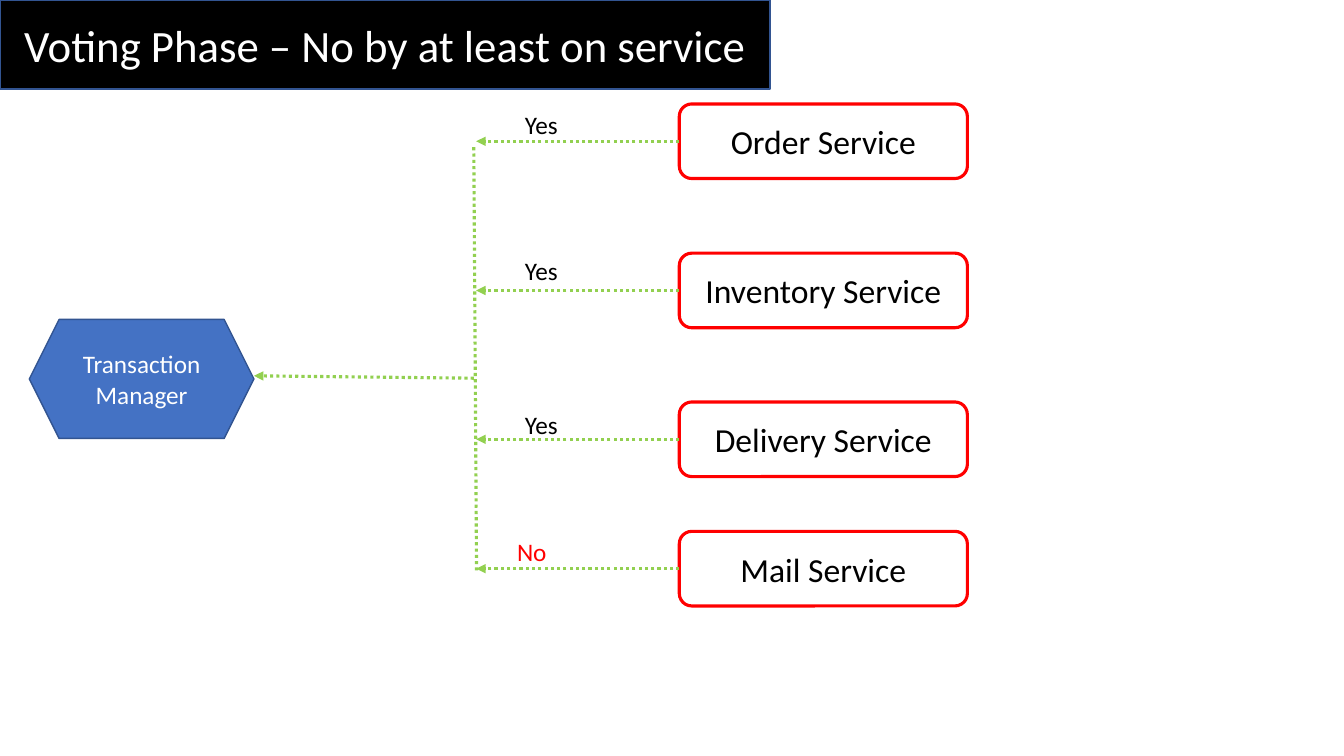
from dataclasses import dataclass

from lxml import etree
from pptx import Presentation
from pptx.dml.color import RGBColor
from pptx.enum import dml, shapes, text
from pptx.oxml.ns import qn
from pptx.util import Cm, Pt

COLORS = {
    "black": "000000",
    "white": "FFFFFF",
    "red": "FF0000",
    "green": "92D050",
    "blue": "4472C4",
    "navy": "325491",
}
FONT = "Calibri"
SERVICE_LEFT, SERVICE_WIDTH, SERVICE_HEIGHT = 17.12, 7.26, 1.88
BUS_X = 12.0


@dataclass(frozen=True)
class Service:
    name: str
    top: float
    vote: str
    vote_left: float
    vote_top: float
    vote_color: str


SERVICES = [
    Service("Order Service", 2.62, "Yes", 12.98, 2.64, "black"),
    Service("Inventory Service", 6.38, "Yes", 12.98, 6.3, "black"),
    Service("Delivery Service", 10.13, "Yes", 12.98, 10.19, "black"),
    Service("Mail Service", 13.39, "No", 12.78, 13.39, "red"),
]


def rgb(color: str) -> RGBColor:
    return RGBColor.from_string(COLORS[color])


def write(shape, content: str, *, size: float, color: str,
          align=text.PP_ALIGN.CENTER, anchor=text.MSO_ANCHOR.MIDDLE) -> None:
    frame = shape.text_frame
    frame.word_wrap = True
    frame.auto_size = text.MSO_AUTO_SIZE.NONE
    frame.vertical_anchor = anchor
    paragraph = frame.paragraphs[0]
    paragraph.alignment = align
    run = paragraph.add_run()
    run.text = content
    run.font.name = FONT
    run.font.size = Pt(size)
    run.font.color.rgb = rgb(color)


def paint(shape, *, fill: str, line: str, width: float) -> None:
    shape.fill.solid()
    shape.fill.fore_color.rgb = rgb(fill)
    shape.line.color.rgb = rgb(line)
    shape.line.width = Pt(width)


def add_box(slide, kind, left: float, top: float, width: float, height: float):
    shape = slide.shapes.add_shape(kind, Cm(left), Cm(top), Cm(width), Cm(height))
    shape.shadow.inherit = False
    return shape


def add_dotted_line(slide, start: tuple[float, float], end: tuple[float, float],
                    *, arrow: bool = True):
    connector = slide.shapes.add_connector(
        shapes.MSO_CONNECTOR.STRAIGHT, *map(Cm, start + end))
    connector.line.color.rgb = rgb("green")
    connector.line.width = Pt(2.25)
    connector.line.dash_style = dml.MSO_LINE.ROUND_DOT
    properties = connector._element.spPr
    if arrow:
        line = properties.find(qn("a:ln"))
        etree.SubElement(line, qn("a:tailEnd"), type="triangle")
    etree.SubElement(properties, qn("a:effectLst"))
    return connector


def add_title(slide) -> None:
    title = slide.shapes.title
    title.left, title.top = Cm(0), Cm(0)
    title.width, title.height = Cm(19.41), Cm(2.24)
    paint(title, fill="black", line="navy", width=1)
    write(title, "Voting Phase – No by at least on service", size=32, color="white")


def add_manager(slide) -> None:
    manager = add_box(slide, shapes.MSO_SHAPE.HEXAGON, 0.74, 8.05, 5.66, 3)
    paint(manager, fill="blue", line="navy", width=1)
    write(manager, "Transaction Manager", size=18, color="white")


def add_service(slide, service: Service) -> None:
    """Draw a service box, its vote and the arrow to the shared line."""
    box = add_box(slide, shapes.MSO_SHAPE.ROUNDED_RECTANGLE, SERVICE_LEFT,
                  service.top, SERVICE_WIDTH, SERVICE_HEIGHT)
    paint(box, fill="white", line="red", width=2.25)
    write(box, service.name, size=24, color="black")

    vote = slide.shapes.add_textbox(
        Cm(service.vote_left), Cm(service.vote_top), Cm(1.93), Cm(1.02))
    write(vote, service.vote, size=18, color=service.vote_color,
          align=text.PP_ALIGN.LEFT, anchor=text.MSO_ANCHOR.TOP)

    middle = service.top + SERVICE_HEIGHT / 2
    arrow = add_dotted_line(slide, (SERVICE_LEFT, middle), (BUS_X, middle))
    arrow.begin_connect(box, 1)


def main() -> None:
    presentation = Presentation()
    presentation.slide_width, presentation.slide_height = Cm(33.87), Cm(19.05)
    slide = presentation.slides.add_slide(presentation.slide_layouts[5])
    add_title(slide)
    add_manager(slide)
    add_dotted_line(slide, (11.94, 9.53), (6.4, 9.47))
    add_dotted_line(slide, (11.94, 3.71), (12.01, 14.45), arrow=False)
    for service in SERVICES:
        add_service(slide, service)
    presentation.save("out.pptx")


if __name__ == "__main__":
    main()
